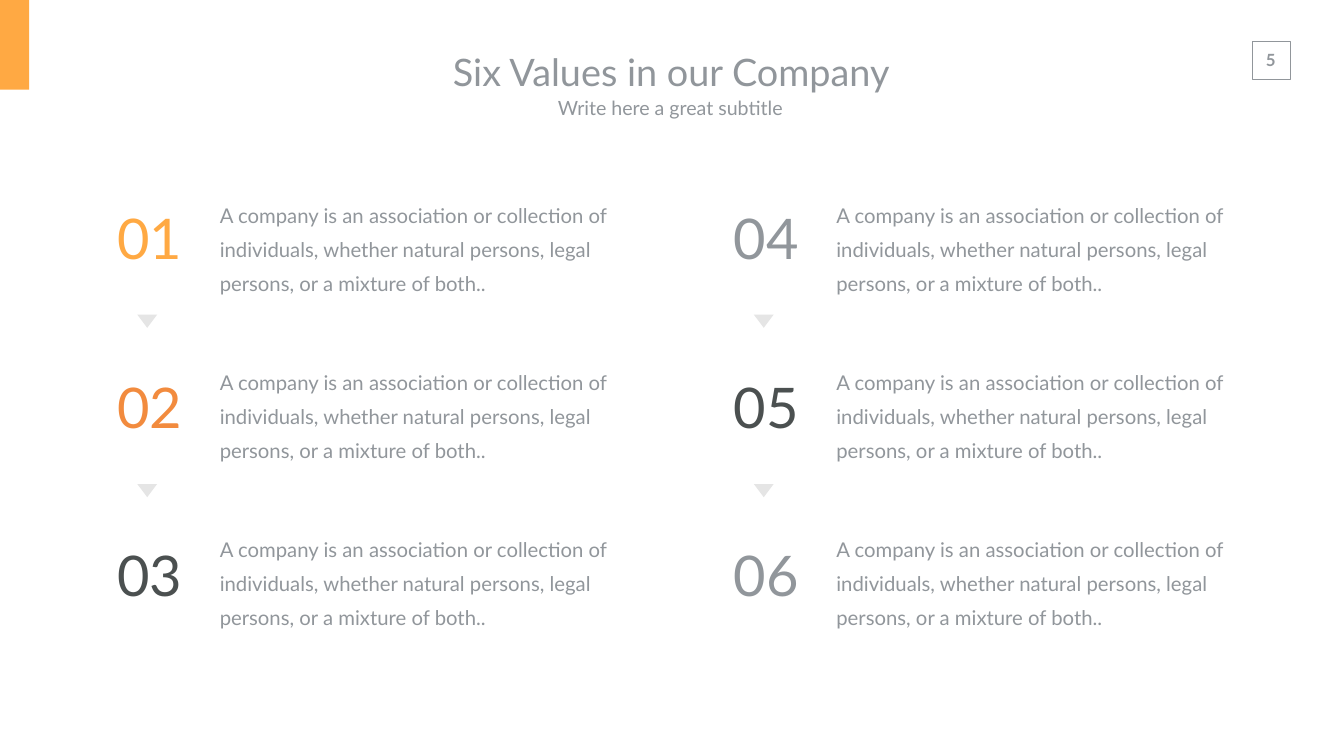
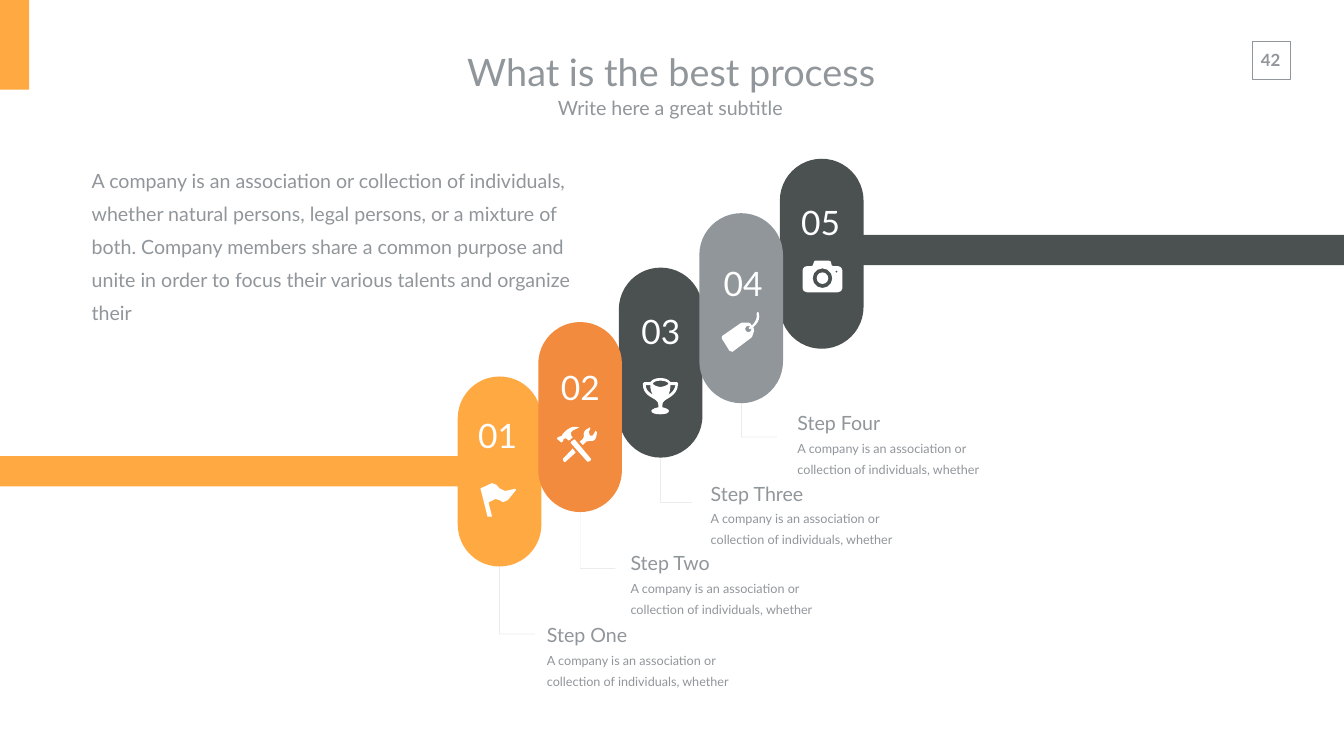
from dataclasses import dataclass
from math import cos, dist, pi, sin

from lxml.etree import SubElement
from pptx import Presentation
from pptx.dml.color import RGBColor
from pptx.enum.shapes import MSO_CONNECTOR, MSO_SHAPE
from pptx.enum.text import MSO_ANCHOR, MSO_AUTO_SIZE, PP_ALIGN
from pptx.oxml.ns import qn
from pptx.util import Inches, Pt


@dataclass(frozen=True)
class Theme:
    font: str = "Lato"
    amber: str = "FFA943"
    orange: str = "F28B3E"
    dark: str = "4B5050"
    gray: str = "91969B"
    light: str = "E5E5E5"
    white: str = "FFFFFF"
    title: int = 54
    subtitle: int = 28
    page: int = 24
    value_number: int = 80
    value_text: int = 29
    step_number: int = 48
    heading: int = 28
    small: int = 18


THEME = Theme()
DEFAULT_INSETS = (0.1, 0.05)
BODY_INSETS = (0.2, 0.1)
TITLE_INSETS = (0.27, 0.13)

# Values slide
VALUE_TEXT = ("A company is an association or collection of individuals, whether "
              "natural persons, legal persons, or a mixture of both..")
VALUE_COLORS = [THEME.amber, THEME.orange, THEME.dark,
                THEME.gray, THEME.dark, THEME.gray]

# Process slide
INTRO = ("A company is an association or collection of individuals, whether natural "
         "persons, legal persons, or a mixture of both. Company members share a common "
         "purpose and unite in order to focus their various talents and organize their")
STEP_LINES = ["A company is an association or", "collection of individuals, whether"]
PILL_WIDTH, PILL_HEIGHT = 1.66, 3.77
PILL_COLORS = [THEME.amber, THEME.orange, THEME.dark, THEME.gray, THEME.dark]
PILL_ORDER = [0, 2, 4, 3, 1]  # back to front
NUMBER_PLACES = [(9.11, 7.87), (10.75, 6.91), (12.35, 5.8), (13.98, 4.84), (15.52, 3.64)]
# heading, label left, top and width, connector run and drop
STEPS = [
    ("Step One", 10.75, 12.13, 5.25, 0.7, 1.35),
    ("Step Two", 12.41, 10.7, 6.47, 0.7, 1.13),
    ("Step Three", 14, 9.32, 5.25, 0.62, 0.9),
    ("Step Four", 15.72, 7.92, 4.78, 0.71, 0.68),
]


def circle(center_x, center_y, radius, count=12):
    angles = [2 * pi * index / count for index in range(count)]
    return [(center_x + radius * cos(a), center_y + radius * sin(a)) for a in angles]


# Icon contours in hundredths of an inch: pairs are corners, sixes are Bézier curves
FLAG = [
    [(69, 29), (24, 47, 43, 0, 7, 25), (0, 28), (14, 84), (23, 84), (16, 56),
     (47, 31, 34, 84, 71, 31), (72, 31, 71, 29, 69, 29)],
]
TOOLS = [
    [(13, 24), (16, 21, 19, 22, 23, 27), (24, 27), (31, 21), (28, 17),
     (21, 7, 48, 1, 44, 1), (41, 0, 32, 0, 31, 0), (27, 1, 20, 5, 17, 8),
     (13, 11, 12, 13, 12, 13), (10, 14, 12, 17, 9, 18), (6, 20, 5, 18, 3, 20),
     (0, 22), (0, 24), (6, 29), (9, 31), (12, 28)],
    [(35, 25), (34, 25), (28, 29), (27, 32), (60, 69), (63, 69), (67, 66), (67, 63)],
    [(79, 10), (77, 7, 77, 8, 76, 8), (73, 14), (72, 17, 69, 20, 65, 17),
     (60, 13, 62, 11, 63, 10), (66, 3), (65, 1), (63, 3, 55, 5, 53, 11),
     (52, 15, 55, 20, 51, 24), (45, 29), (51, 36), (58, 29),
     (59, 28, 62, 27, 65, 28), (72, 29, 74, 27, 77, 22), (79, 18, 79, 11, 79, 10)],
    [(12, 63), (12, 66), (14, 70), (17, 69), (37, 51), (31, 43)],
]
TROPHY = [
    [(39, 53), (39, 47, 44, 44, 51, 40), (59, 35, 70, 28, 70, 11),
     (70, 10, 69, 8, 68, 8), (55, 8), (52, 4, 46, 0, 35, 0), (24, 0, 18, 4, 15, 8),
     (3, 8), (1, 8, 0, 10, 0, 11), (0, 28, 10, 35, 20, 40), (27, 44, 31, 47, 31, 53),
     (31, 58), (22, 60, 17, 63, 17, 65), (17, 70, 25, 72, 35, 72),
     (45, 72, 52, 70, 52, 65), (52, 63, 48, 60, 39, 58)],
    [(51, 33), (53, 29, 55, 22, 55, 14), (65, 14), (63, 24, 58, 29, 51, 33)],
    [(35, 5), (46, 5, 51, 10, 51, 11), (51, 12, 46, 17, 35, 18),
     (24, 17, 20, 12, 20, 11), (20, 10, 24, 5, 35, 5)],
    [(6, 14), (15, 14), (15, 22, 17, 29, 20, 33), (13, 29, 6, 24, 6, 14)],
]
TAG = [
    [(75, 1), (72, 0), (71, 3), (73, 14, 66, 23, 61, 27), (59, 23),
     (58, 23, 57, 21, 55, 21), (42, 21), (41, 21, 40, 21, 38, 23), (2, 48),
     (0, 49, 0, 52, 2, 53), (17, 77), (19, 80, 21, 79, 23, 79), (59, 52),
     (61, 52, 62, 49, 62, 49), (66, 37), (66, 35, 66, 34, 65, 32), (64, 30),
     (72, 24, 79, 14, 75, 1)],
    [(58, 39), (55, 41, 51, 41, 49, 37), (47, 34, 48, 31, 51, 28),
     (52, 27, 55, 27, 58, 28), (57, 30), (55, 32), (57, 34), (58, 34), (61, 32),
     (61, 35, 59, 38, 58, 39)],
]
CAMERA = [
    [(70, 11), (62, 11), (58, 10), (56, 2), (52, 0), (25, 0), (23, 2), (20, 10),
     (17, 11), (9, 11), (3, 11, 0, 16, 0, 20), (0, 55), (0, 59, 3, 63, 9, 63),
     (70, 63), (75, 63, 79, 59, 79, 55), (79, 20), (79, 16, 75, 11, 70, 11)],
    circle(39.5, 35, 19.5), circle(39.5, 35, 11.5), circle(67.5, 22, 2.5, 4),
]
ICONS = [(14.3, 6.19, TAG), (15.92, 5.17, CAMERA), (12.75, 7.5, TROPHY),
         (9.53, 9.41, FLAG), (11.05, 8.47, TOOLS)]


# Drawing helpers; a canvas is a slide or a group
def paint(shape, fill=None, line=None):
    shape.shadow.inherit = False
    if fill:
        shape.fill.solid()
        shape.fill.fore_color.rgb = RGBColor.from_string(fill)
    else:
        shape.fill.background()
    if line:
        shape.line.color.rgb = RGBColor.from_string(line)
        shape.line.width = Pt(1)
    else:
        shape.line.fill.background()


def add_block(canvas, kind, left, top, width, height, fill=None, line=None, adjust=()):
    shape = canvas.shapes.add_shape(kind, Inches(left), Inches(top),
                                    Inches(width), Inches(height))
    for index, value in enumerate(adjust):
        shape.adjustments[index] = value
    paint(shape, fill, line)
    return shape


def add_text(canvas, box, lines, color=THEME.gray, align=PP_ALIGN.LEFT, spacing=None,
             insets=DEFAULT_INSETS, middle=False, bold=None, wrap=True, grow=True):
    """Write lines, given as (text, size) pairs, in a box."""
    frame = canvas.shapes.add_textbox(*[Inches(length) for length in box]).text_frame
    frame.word_wrap = wrap
    frame.auto_size = MSO_AUTO_SIZE.SHAPE_TO_FIT_TEXT if grow else MSO_AUTO_SIZE.NONE
    frame.vertical_anchor = MSO_ANCHOR.MIDDLE if middle else MSO_ANCHOR.TOP
    frame.margin_left = frame.margin_right = Inches(insets[0])
    frame.margin_top = frame.margin_bottom = Inches(insets[1])
    for index, (text, size) in enumerate(lines):
        paragraph = frame.add_paragraph() if index else frame.paragraphs[0]
        paragraph.text = text
        paragraph.alignment = align
        paragraph.line_spacing = spacing
        paragraph.font.name = THEME.font
        paragraph.font.size = Pt(size)
        paragraph.font.bold = bold
        paragraph.font.color.rgb = RGBColor.from_string(color)


def add_elbow(canvas, left, top, run, drop):
    """Draw a thin line down, then right; its frame is turned by 270 degrees."""
    center_x, center_y = left + run / 2, top + drop / 2
    connector = canvas.shapes.add_connector(
        MSO_CONNECTOR.ELBOW,
        Inches(center_x + drop / 2), Inches(center_y - run / 2),
        Inches(center_x - drop / 2), Inches(center_y + run / 2))
    connector.line.width = Pt(0.25)
    connector.line.color.rgb = RGBColor.from_string(THEME.gray)
    properties = connector._element.spPr
    properties.find(qn("a:xfrm")).set("rot", "16200000")
    properties.find(qn("a:prstGeom")).set("prst", "bentConnector2")
    color = properties.find(".//" + qn("a:srgbClr"))
    SubElement(color, qn("a:alpha")).set("val", "50000")
    SubElement(properties, qn("a:effectLst"))


def flatten(contour):
    """Turn curves into a few chords each, more for long curves."""
    points = []
    for node in contour:
        if len(node) == 2:
            points.append(node)
            continue
        (x0, y0), (x1, y1, x2, y2, x3, y3) = points[-1], node
        pieces = max(1, min(5, round(dist((x0, y0), (x3, y3)) / 5)))
        for piece in range(1, pieces + 1):
            t = piece / pieces
            a, b, c, d = (1 - t) ** 3, 3 * t * (1 - t) ** 2, 3 * t * t * (1 - t), t ** 3
            points.append((a * x0 + b * x1 + c * x2 + d * x3,
                           a * y0 + b * y1 + c * y2 + d * y3))
    return [(Inches(x / 100), Inches(y / 100)) for x, y in points]


def add_icon(canvas, left, top, contours):
    outlines = [flatten(contour) for contour in contours]
    builder = canvas.shapes.build_freeform(*outlines[0][0], scale=1.0)
    for index, points in enumerate(outlines):
        if index:
            builder.move_to(*points[0])
        builder.add_line_segments(points[1:], close=True)
    paint(builder.convert_to_shape(Inches(left), Inches(top)), THEME.white)


# Slides
def start_slide(presentation, title, page):
    slide = presentation.slides.add_slide(presentation.slide_layouts[6])
    add_text(slide, (24.8, 0.89, 0.81, 0.61), [(page, THEME.page)], bold=True,
             align=PP_ALIGN.CENTER, insets=BODY_INSETS, wrap=False)
    add_block(slide, MSO_SHAPE.RECTANGLE, 24.84, 0.82, 0.75, 0.75, line=THEME.gray)
    add_block(slide, MSO_SHAPE.RECTANGLE, 0, 0, 0.58, 1.78, THEME.amber)
    for box, text, size in [
            ((8.15, 0.83, 10.33, 1.18), title, THEME.title),
            ((8.18, 1.76, 10.33, 0.74), "Write here a great subtitle ", THEME.subtitle)]:
        add_text(slide, box, [(text, size)], align=PP_ALIGN.CENTER,
                 insets=TITLE_INSETS, middle=True)
    return slide


def build_values(presentation):
    slide = start_slide(presentation, "Six Values in our Company", "5")
    for column in range(2):
        left = 1.77 + 12.23 * column
        for row in range(3):
            index = 3 * column + row
            add_text(slide, (left, 3.69 + 3.35 * row, 2.4, 2.02),
                     [(f"{index + 1:02}", THEME.value_number)], VALUE_COLORS[index],
                     PP_ALIGN.CENTER, insets=(0, 0), middle=True, grow=False)
            add_text(slide, (left + 2.39, 3.73 + 3.32 * row, 8.27, 2.22),
                     [(VALUE_TEXT, THEME.value_text)], spacing=1.4, insets=BODY_INSETS)
        arrows = slide.shapes.add_group_shape()
        for row in range(2):
            arrow = add_block(arrows, MSO_SHAPE.RIGHT_ARROW, left + 1.02, 6.18 + 3.36 * row,
                              0.26, 0.39, THEME.light, adjust=(0.32, 1))
            arrow.rotation = 90


def build_process(presentation):
    slide = start_slide(presentation, "What is the best process", "42")
    # Staircase of pills with its bands and connectors
    stairs = slide.shapes.add_group_shape()
    add_block(stairs, MSO_SHAPE.RECTANGLE, 0, 9.05, 9.09, 0.6, THEME.amber)
    add_block(stairs, MSO_SHAPE.RECTANGLE, 17.09, 4.66, 9.57, 0.6, THEME.dark)
    pills = [(9.08 + 6.39 * index / 4, 7.47 - 1.08 * index) for index in range(5)]
    for index in PILL_ORDER:
        add_block(stairs, MSO_SHAPE.ROUNDED_RECTANGLE, *pills[index], PILL_WIDTH,
                  PILL_HEIGHT, PILL_COLORS[index], adjust=(0.5,))
    # Step labels
    for (left, top), (heading, text_left, text_top, width, run, drop) in zip(pills, STEPS):
        add_elbow(stairs, left + PILL_WIDTH / 2, top + PILL_HEIGHT - 0.01, run, drop)
        lines = [(heading, THEME.heading)] + [(line, THEME.small) for line in STEP_LINES]
        add_text(slide, (text_left, text_top, width, 1.59), lines, spacing=1.4)
    add_text(slide, (1.72, 3.12, 10.11, 2.71), [(INTRO, THEME.heading)], spacing=1.4)
    # Numbers and icons
    for index, (left, top) in enumerate(NUMBER_PLACES, 1):
        add_text(slide, (left, top, 1.52, 1.18), [(f"{index:02}", THEME.step_number)],
                 THEME.white, PP_ALIGN.CENTER, spacing=1.4)
    for left, top, contours in ICONS:
        add_icon(slide, left, top, contours)


def main():
    presentation = Presentation()
    presentation.slide_width = Inches(26.66)
    presentation.slide_height = Inches(15)
    build_values(presentation)
    build_process(presentation)
    presentation.save("out.pptx")


if __name__ == "__main__":
    main()
